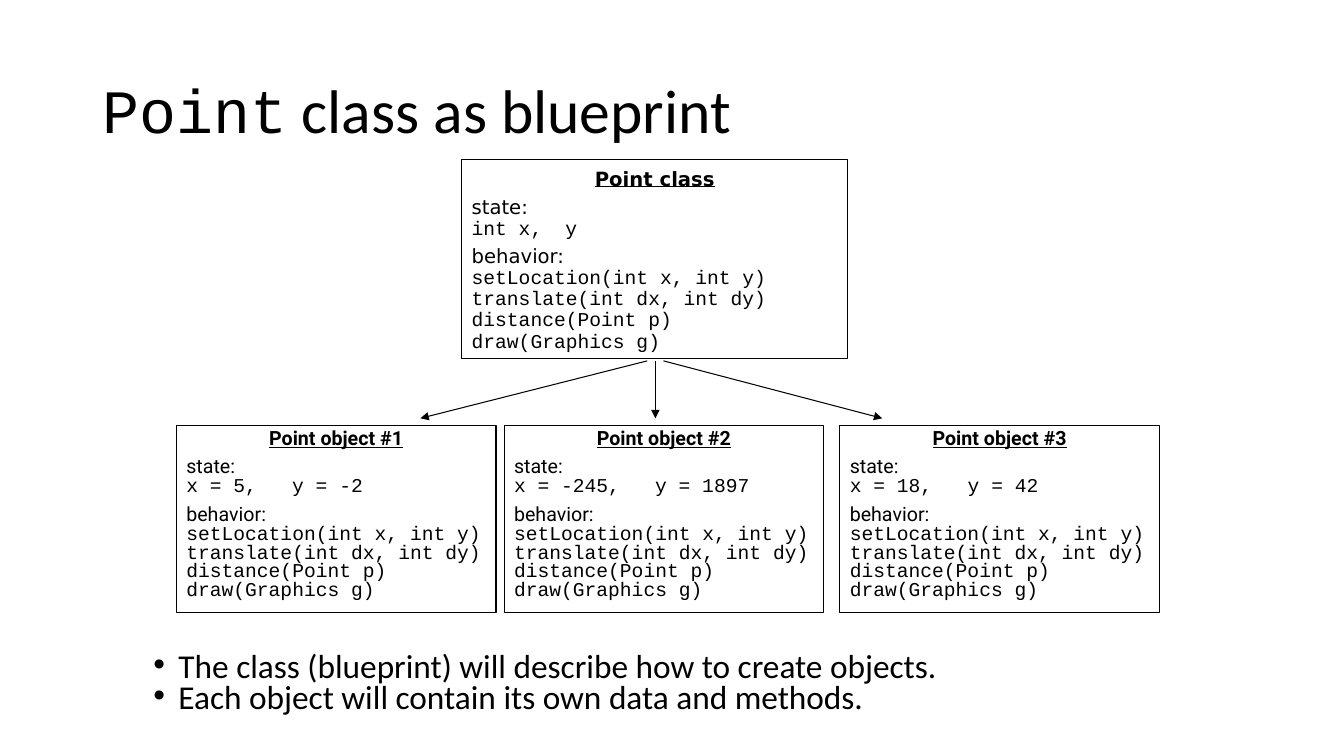
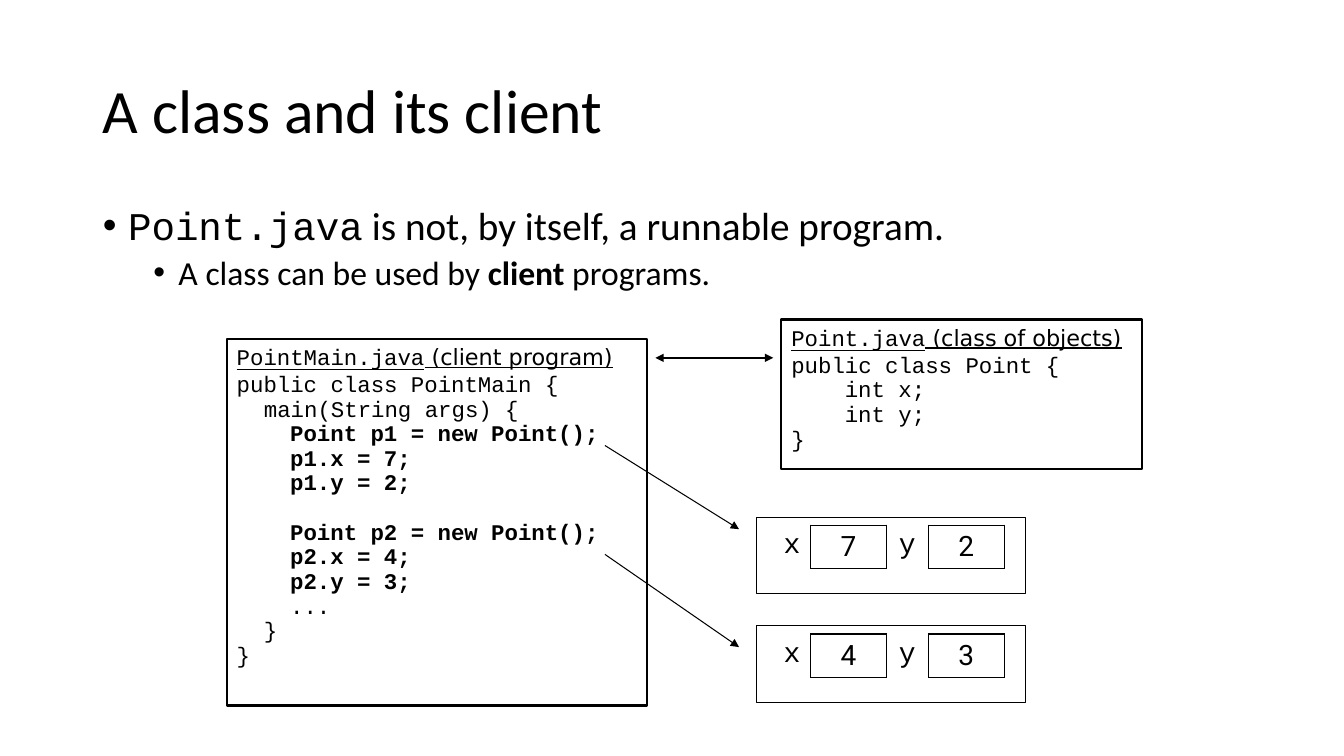
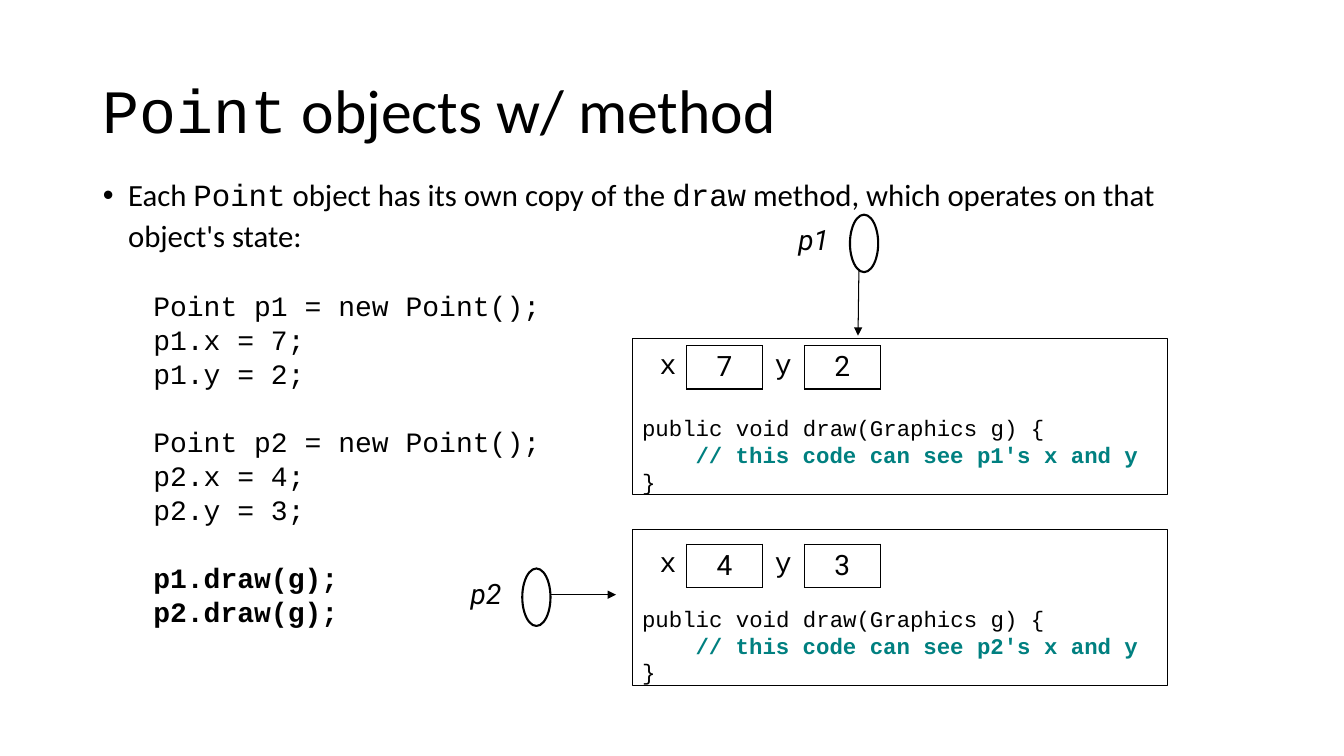
import copy

import pptx
import pptx.dml.color
import pptx.enum.shapes
import pptx.enum.text
import pptx.oxml
import pptx.oxml.ns
import pptx.util
from pptx.util import Inches

BLACK = "000000"
WHITE = "FFFFFF"
TEAL = "008080"
SANS = "Calibri"
MONO = "Courier New"
LABEL = "Roboto"
WIDE = "DejaVu Sans"
LEFT = pptx.enum.text.PP_ALIGN.LEFT
CENTER = pptx.enum.text.PP_ALIGN.CENTER
RIGHT = pptx.enum.text.PP_ALIGN.RIGHT
TOP = pptx.enum.text.MSO_ANCHOR.TOP
MIDDLE = pptx.enum.text.MSO_ANCHOR.MIDDLE
BOTTOM = pptx.enum.text.MSO_ANCHOR.BOTTOM
RECTANGLE = pptx.enum.shapes.MSO_SHAPE.RECTANGLE
OVAL = pptx.enum.shapes.MSO_SHAPE.OVAL
METHODS = ["setLocation(int x, int y)", "translate(int dx, int dy)",
           "distance(Point p)", "draw(Graphics g)"]


def rgb(value):
    return pptx.dml.color.RGBColor.from_string(value)


def xml(tag, **attributes):
    element = pptx.oxml.parse_xml(f"<{tag} {pptx.oxml.ns.nsdecls('a')}/>")
    for name, value in attributes.items():
        element.set(name, str(value))
    return element


def columns_width(columns, size):
    return Inches(round(columns * 0.6 * size / 72, 2))


def format_run(run, font, size, color=BLACK, bold=False, italic=False, underline=False):
    run.font.name = font
    run.font.size = pptx.util.Pt(size)
    run.font.color.rgb = rgb(color)
    run.font.bold = bold
    run.font.italic = italic
    run.font.underline = underline


def add_runs(paragraph, pieces, size):
    for text, font, *style in pieces:
        run = paragraph.add_run()
        run.text = text
        format_run(run, font, size, **(style[0] if style else {}))


def space_paragraph(paragraph, line=1.0, before=0, align=LEFT):
    paragraph.line_spacing = line
    paragraph.space_before = pptx.util.Pt(before)
    paragraph.alignment = align


def indent_paragraph(paragraph, left, hanging=0, bullet=False):
    properties = paragraph._p.get_or_add_pPr()
    properties.set("marL", str(left))
    properties.set("indent", str(-hanging))
    if bullet:
        properties.append(xml("a:buFont", typeface="Arial"))
        properties.append(xml("a:buChar", char="•"))
    else:
        properties.append(xml("a:buNone"))


def next_paragraph(frame):
    first = frame.paragraphs[0]
    return frame.add_paragraph() if first.runs else first


def add_item(frame, pieces, size, level=0, line=0.9, before=5, bullet=True):
    paragraph = next_paragraph(frame)
    paragraph.level = level
    space_paragraph(paragraph, line, before)
    hanging = Inches(0.25)
    indent_paragraph(paragraph, Inches(0.25 + 0.5 * level), hanging, bullet)
    add_runs(paragraph, pieces, size)


def start_slide(presentation, title_pieces, body_top, body_width, body_height):
    slide = presentation.slides.add_slide(presentation.slide_layouts[1])
    title, body = slide.placeholders
    place(title, 0.92, 0.4, 11.5, 1.45)
    title.text_frame.vertical_anchor = MIDDLE
    space_paragraph(title.text_frame.paragraphs[0], 0.9)
    add_runs(title.text_frame.paragraphs[0], title_pieces, 44)
    place(body, 0.92, body_top, body_width, body_height)
    for placeholder in (title, body):
        placeholder.text_frame.auto_size = pptx.enum.text.MSO_AUTO_SIZE.NONE
    return slide, body.text_frame


def place(shape, left, top, width, height):
    shape.left, shape.top = Inches(left), Inches(top)
    shape.width, shape.height = Inches(width), Inches(height)


def add_box(slide, left, top, width, height, line_width=0.75, kind=RECTANGLE, fill=None):
    shape = slide.shapes.add_shape(kind, Inches(left), Inches(top), Inches(width), Inches(height))
    shape.shadow.inherit = False
    if fill:
        shape.fill.solid()
        shape.fill.fore_color.rgb = rgb(fill)
    else:
        shape.fill.background()
    shape.line.color.rgb = rgb(BLACK)
    shape.line.width = pptx.util.Pt(line_width)
    shape.text_frame.vertical_anchor = TOP
    return shape


def add_arrow(slide, start, end, width=0.75, both_ends=False):
    points = [Inches(value) for value in (*start, *end)]
    connector = slide.shapes.add_connector(pptx.enum.shapes.MSO_CONNECTOR.STRAIGHT, *points)
    connector.line.color.rgb = rgb(BLACK)
    connector.line.width = pptx.util.Pt(width)
    line = connector.line._get_or_add_ln()
    if both_ends:
        line.append(xml("a:headEnd", type="triangle"))
    line.append(xml("a:tailEnd", type="triangle"))
    connector._element.spPr.append(xml("a:effectLst"))


def add_section(frame, label, lines, font, spacing, before, tab_columns=None):
    paragraph = frame.add_paragraph()
    paragraph.text = "\v".join([label, *lines])
    space_paragraph(paragraph, spacing, before)
    for index, run in enumerate(paragraph.runs):
        format_run(run, MONO if index else font, 14)
    for line_break in paragraph._p.findall(pptx.oxml.ns.qn("a:br")):
        line_break.insert(0, copy.deepcopy(line_break.getprevious().rPr))
    if tab_columns:
        tabs = xml("a:tabLst")
        tabs.append(xml("a:tab", pos=columns_width(tab_columns, 14), algn="l"))
        paragraph._p.get_or_add_pPr().append(tabs)


def add_member_box(slide, bounds, name, font, state, gap, title_line, line, before, fill=None):
    frame = add_box(slide, *bounds, fill=fill).text_frame
    heading = frame.paragraphs[0]
    heading.text = name
    format_run(heading.runs[0], font, 14, bold=True, underline=True)
    space_paragraph(heading, title_line, align=CENTER)
    tab_columns = len(state[0]) + gap
    add_section(frame, "state:", ["\t".join(state)], font, line, before, tab_columns)
    add_section(frame, "behavior:", METHODS, font, line, before)


def add_code_box(slide, bounds, file_name, role, code):
    frame = add_box(slide, *bounds, line_width=1.5).text_frame
    underlined = {"underline": True}
    space_paragraph(frame.paragraphs[0])
    add_runs(frame.paragraphs[0], [(file_name, MONO, underlined), (role, WIDE, underlined)], 16)
    for columns, text, bold, before in code:
        paragraph = frame.add_paragraph()
        paragraph.text = text
        space_paragraph(paragraph, 0.5, before)
        indent_paragraph(paragraph, columns_width(columns, 16))
        format_run(paragraph.runs[0], MONO, 16, bold=bold)


def set_border(cell, side, visible):
    line = xml(f"a:ln{side}", w=pptx.util.Pt(1))
    if visible:
        fill = xml("a:solidFill")
        fill.append(xml("a:srgbClr", val=BLACK))
    else:
        fill = xml("a:noFill")
    line.append(fill)
    cell._tc.get_or_add_tcPr().append(line)


def add_fields(slide, left, top, x, y):
    widths = [0.37, 0.75, 0.42, 0.75]
    frame = slide.shapes.add_table(1, 4, Inches(left), Inches(top),
                                   Inches(sum(widths)), Inches(0.43))
    table = frame.table
    table.first_row = table.horz_banding = False
    table.rows[0].height = Inches(0.43)
    for index, text in enumerate(["x", x, "y", y]):
        table.columns[index].width = Inches(widths[index])
        cell = table.cell(0, index)
        is_value = index % 2 == 1
        cell.text = text
        cell.text_frame.paragraphs[0].alignment = CENTER
        format_run(cell.text_frame.paragraphs[0].runs[0], LABEL if is_value else MONO, 20)
        for side in "LRTB":
            set_border(cell, side, is_value or side == "R" or (side == "L" and index > 0))
        cell.fill.background()


def add_object_with_method(slide, top, fields_top, name, x, y):
    frame = add_box(slide, 6.27, top, 5.31, 1.55).text_frame
    frame.vertical_anchor = BOTTOM
    frame.margin_bottom = 0
    code = [(0, "public void draw(Graphics g) {", {}),
            (4, f"// this code can see {name}'s x and y", {"color": TEAL, "bold": True}),
            (0, "}", {})]
    for columns, text, style in code:
        paragraph = next_paragraph(frame)
        paragraph.text = text
        space_paragraph(paragraph)
        indent_paragraph(paragraph, columns_width(columns, 16))
        format_run(paragraph.runs[0], MONO, 16, **style)
    add_fields(slide, 6.44, fields_top, x, y)


def add_reference(slide, name, left, top, arrow_start, arrow_end):
    label = slide.shapes.add_textbox(Inches(left), Inches(top), Inches(1.12), Inches(0.49))
    label.text_frame.word_wrap = True
    paragraph = label.text_frame.paragraphs[0]
    paragraph.text = name
    paragraph.alignment = RIGHT
    format_run(paragraph.runs[0], LABEL, 20, italic=True)
    add_arrow(slide, arrow_start, arrow_end)
    add_box(slide, left + 1.23, top - 0.03, 0.28, 0.57, 1.5, OVAL, WHITE)


def build_blueprint(presentation):
    title = [("Point", MONO), (" class as blueprint", SANS)]
    slide, body = start_slide(presentation, title, 2, 12.17, 5.34)
    body.vertical_anchor = BOTTOM
    body.margin_bottom = Inches(0.25)
    for text in ("The class (blueprint) will describe how to create objects.",
                 "Each object will contain its own data and methods."):
        add_item(body, [(text, SANS)], 23.8, level=1, line=0.6)
    add_member_box(slide, (4.58, 1.58, 3.83, 1.98), "Point class", WIDE,
                   ("int x,", "y"), 2, 1.1, 0.9, 5)
    for start, end in ((6.42, 4.17), (6.5, 6.5), (6.58, 8.75)):
        add_arrow(slide, (start, 3.58), (end, 4.15))
    objects = [(1.75, ("x = 5,", "y = -2")), (5, ("x = -245,", "y = 1897")),
               (8.33, ("x = 18,", "y = 42"))]
    for number, (left, state) in enumerate(objects, 1):
        add_member_box(slide, (left, 4.22, 3.17, 1.86), f"Point object #{number}", LABEL,
                       state, 3, 0.8, 0.8, 7, WHITE)


def build_client(presentation):
    slide, body = start_slide(presentation, [("A class and its client", SANS)], 2, 11.5, 4.76)
    add_item(body, [("Point.java", MONO), (" is not, by itself, a runnable program.", SANS)],
             28, before=10)
    add_item(body, [("A class can be used by ", SANS), ("client", SANS, {"bold": True}),
                    (" programs.", SANS)], 24, level=1)
    client = [(0, "public class PointMain {", False, 8), (2, "main(String args) {", False, 8),
              (4, "Point p1 = new Point();", True, 8), (4, "p1.x = 7;", True, 8),
              (4, "p1.y = 2;", True, 8), (4, "Point p2 = new Point();", True, 25.6),
              (4, "p2.x = 4;", True, 8), (4, "p2.y = 3;", True, 8),
              (4, "...", False, 8), (2, "}", False, 8), (0, "}", False, 8)]
    point = [(0, "public class Point {", False, 8), (4, "int x;", False, 8),
             (4, "int y;", False, 8), (0, "}", False, 8)]
    add_code_box(slide, (2.25, 3.36, 4.17, 3.64), "PointMain.java", " (client program)", client)
    add_code_box(slide, (7.75, 3.17, 3.58, 1.48), "Point.java", " (class of objects)", point)
    for top, x, y in ((5.13, "7", "2"), (6.21, "4", "3")):
        add_box(slide, 7.5, top, 2.67, 0.76)
        add_fields(slide, 7.67, top + 0.08, x, y)
    add_arrow(slide, (6.5, 3.55), (7.67, 3.55), 1.5, True)
    add_arrow(slide, (6, 4.42), (7.33, 5.25))
    add_arrow(slide, (6, 5.5), (7.33, 6.42))


def build_methods(presentation):
    title = [("Point", MONO), (" objects w/ method", SANS)]
    slide, body = start_slide(presentation, title, 1.66, 11.5, 4.76)
    add_item(body, [("Each ", SANS), ("Point", MONO), (" object has its own copy of the ", SANS),
                    ("draw", MONO), (" method, which operates on that object's state:", SANS)],
             22, line=1.1, before=10)
    groups = [(["Point p1 = new Point();", "p1.x = 7;", "p1.y = 2;"], False),
              (["Point p2 = new Point();", "p2.x = 4;", "p2.y = 3;"], False),
              (["p1.draw(g);", "p2.draw(g);"], True)]
    for lines, bold in groups:
        for index, text in enumerate(lines):
            add_item(body, [(text, MONO, {"bold": bold})], 20, level=1, line=0.8,
                     before=5 if index else 29.5, bullet=False)
    add_object_with_method(slide, 3.36, 3.43, "p1", "7", "2")
    add_object_with_method(slide, 5.25, 5.4, "p2", "4", "3")
    add_reference(slide, "p2", 3.95, 5.67, (5.36, 5.9), (6.11, 5.9))
    add_reference(slide, "p1", 7.2, 2.16, (8.52, 2.61), (8.51, 3.33))


def main():
    presentation = pptx.Presentation()
    presentation.slide_width = Inches(13.33)
    presentation.slide_height = Inches(7.5)
    build_blueprint(presentation)
    build_client(presentation)
    build_methods(presentation)
    presentation.save("out.pptx")


main()
